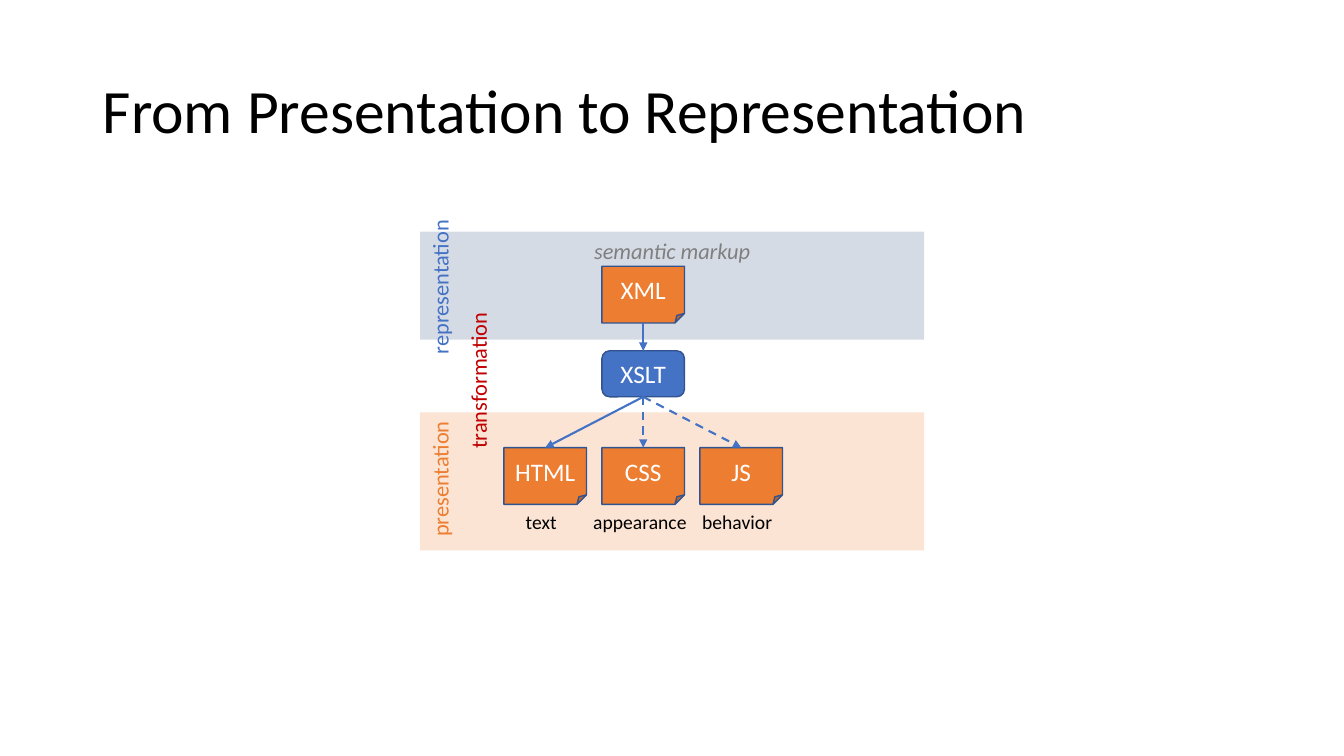
from dataclasses import dataclass

from lxml.etree import SubElement
from pptx import Presentation
from pptx.dml.color import RGBColor
from pptx.enum.dml import MSO_LINE
from pptx.enum.shapes import MSO_CONNECTOR, MSO_SHAPE as Preset
from pptx.enum.text import MSO_ANCHOR as Anchor, PP_ALIGN as Align
from pptx.oxml.ns import qn
from pptx.shapes.autoshape import Shape
from pptx.slide import Slide
from pptx.util import Cm, Pt

COLORS = {
    "ink": "000000",
    "white": "FFFFFF",
    "gray": "7F7F7F",
    "blue": "4472C4",
    "outline": "31538F",
    "orange": "ED7D31",
    "red": "C00000",
    "blue band": "D5DBE5",
    "orange band": "FBE4D4",
}
CENTER_X = 16.21
COLUMN_PITCH = 2.47
NODE_WIDTH = 2.08
DOCUMENT_HEIGHT = 1.43
OUTPUT_TOP = 11.28
LABEL_HEIGHT = 0.94


@dataclass(frozen=True)
class Band:
    top: float
    height: float
    color: str


@dataclass(frozen=True)
class Node:
    text: str
    column: int
    top: float
    height: float = DOCUMENT_HEIGHT
    preset: Preset = Preset.FOLDED_CORNER
    color: str = "orange"


@dataclass(frozen=True)
class Label:
    text: str
    center_x: float
    center_y: float
    width: float
    height: float = LABEL_HEIGHT
    color: str = "ink"
    size: float = 16
    rotation: float = 270


def rgb(color: str) -> RGBColor:
    return RGBColor.from_string(COLORS[color])


def write(shape: Shape, text: str, *, size: float, color: str,
          align: Align = Align.LEFT, anchor: Anchor = Anchor.TOP,
          italic: bool = False, wrap: bool = False,
          line_spacing: float = 1.0) -> None:
    frame = shape.text_frame
    frame.word_wrap = wrap
    frame.vertical_anchor = anchor
    paragraph = frame.paragraphs[0]
    paragraph.alignment = align
    paragraph.line_spacing = line_spacing
    run = paragraph.add_run()
    run.text = text
    run.font.name = "Calibri"
    run.font.size = Pt(size)
    run.font.italic = italic
    run.font.color.rgb = rgb(color)


def draw_band(slide: Slide, band: Band) -> Shape:
    area = slide.shapes.add_shape(
        Preset.RECTANGLE, Cm(10.59), Cm(band.top), Cm(12.7), Cm(band.height))
    area.shadow.inherit = False
    area.fill.solid()
    area.fill.fore_color.rgb = rgb(band.color)
    area.line.fill.background()
    return area


def draw_node(slide: Slide, node: Node) -> Shape:
    left = CENTER_X + node.column * COLUMN_PITCH - NODE_WIDTH / 2
    box = slide.shapes.add_shape(
        node.preset, Cm(left), Cm(node.top), Cm(NODE_WIDTH), Cm(node.height))
    box.shadow.inherit = False
    box.fill.solid()
    box.fill.fore_color.rgb = rgb(node.color)
    box.line.color.rgb = rgb("outline")
    box.line.width = Pt(1)
    write(box, node.text, size=18, color="white",
          align=Align.CENTER, anchor=Anchor.MIDDLE)
    return box


def draw_arrow(slide: Slide, upper: Shape, lower: Shape, dashed: bool) -> None:
    arrow = slide.shapes.add_connector(MSO_CONNECTOR.STRAIGHT, 0, 0, 0, 0)
    arrow.begin_connect(upper, 2)
    arrow.end_connect(lower, 0)
    arrow.line.color.rgb = rgb("blue")
    arrow.line.width = Pt(1.5)
    if dashed:
        arrow.line.dash_style = MSO_LINE.DASH
    SubElement(arrow.line._get_or_add_ln(), qn("a:tailEnd"), type="triangle")
    SubElement(arrow._element.spPr, qn("a:effectLst"))


def draw_label(slide: Slide, label: Label) -> None:
    box = slide.shapes.add_textbox(
        Cm(label.center_x - label.width / 2),
        Cm(label.center_y - label.height / 2),
        Cm(label.width), Cm(label.height))
    box.rotation = label.rotation
    write(box, label.text, size=label.size, color=label.color)


def caption(text: str, center_x: float, width: float) -> Label:
    return Label(text, center_x, 13.15, width, 0.84, size=14, rotation=0)


def main() -> None:
    deck = Presentation()
    deck.slide_width, deck.slide_height = Cm(33.87), Cm(19.05)
    slide = deck.slides.add_slide(deck.slide_layouts[6])

    title = slide.shapes.add_textbox(Cm(2.34), Cm(1.02), Cm(29.21), Cm(3.68))
    write(title, "From Presentation to Representation", size=44, color="ink",
          anchor=Anchor.MIDDLE, wrap=True, line_spacing=0.9)

    draw_band(slide, Band(10.39, 3.48, "orange band"))
    representation = draw_band(slide, Band(5.84, 2.72, "blue band"))
    write(representation, "semantic markup", size=16, color="gray",
          align=Align.CENTER, italic=True, wrap=True)

    source = draw_node(slide, Node("XML", 0, 6.71))
    stylesheet = draw_node(
        slide, Node("XSLT", 0, 8.84, 1.16, Preset.ROUNDED_RECTANGLE, "blue"))
    html, css, js = [
        draw_node(slide, Node(text, column, OUTPUT_TOP))
        for column, text in enumerate(("HTML", "CSS", "JS"), start=-1)
    ]

    draw_arrow(slide, source, stylesheet, dashed=False)
    draw_arrow(slide, stylesheet, html, dashed=False)
    draw_arrow(slide, stylesheet, css, dashed=True)
    draw_arrow(slide, stylesheet, js, dashed=True)

    for label in (
        Label("representation", 11.09, 7.2, 3.94, color="blue"),
        Label("presentation", 11.09, 12.05, 3.45, color="orange"),
        Label("transformation", 12.05, 9.56, 3.99, color="red"),
        caption("text", 13.65, 1.3),
        caption("appearance", 16.15, 2.9),
        caption("behavior", 18.59, 2.29),
    ):
        draw_label(slide, label)

    deck.save("out.pptx")


if __name__ == "__main__":
    main()
